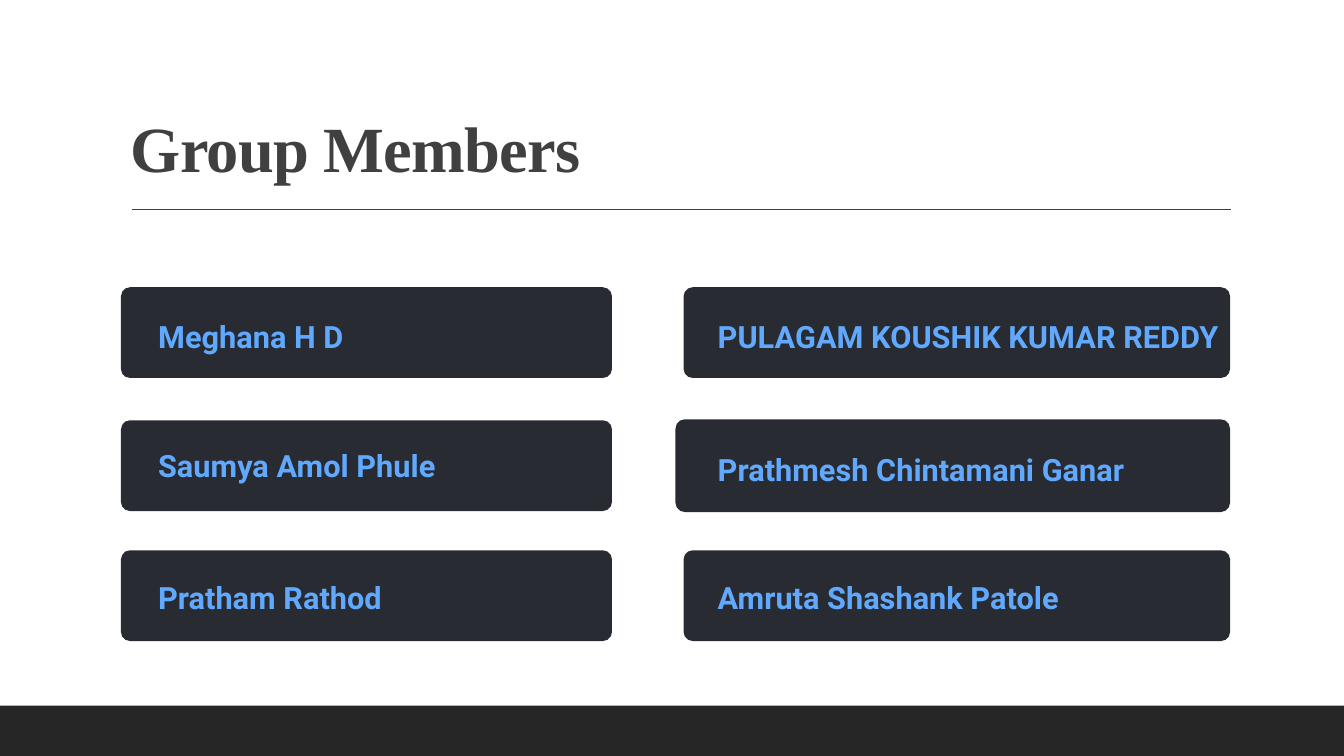
from lxml import etree
from pptx import Presentation
from pptx.dml.color import RGBColor
from pptx.enum.shapes import MSO_CONNECTOR, MSO_SHAPE
from pptx.enum.text import MSO_ANCHOR
from pptx.oxml.ns import qn
from pptx.util import Inches, Pt

WIDTH, HEIGHT = 13.33, 7.5
DARK, GREY, CARD, BLUE = "262626", "404040", "282C32", "60A9FF"

# Card box (left, top, width, height), name, text position (left, top)
MEMBERS = [
    ((1.2, 2.85, 4.87, 0.9), "Meghana H D", (1.47, 3.09)),
    ((6.78, 2.85, 5.42, 0.9), "PULAGAM KOUSHIK KUMAR REDDY", (7.02, 3.09)),
    ((1.2, 4.17, 4.87, 0.9), "Saumya Amol Phule", (1.47, 4.37)),
    ((6.7, 4.16, 5.5, 0.92), "Prathmesh Chintamani Ganar", (7.02, 4.41)),
    ((1.2, 5.46, 4.87, 0.9), "Pratham Rathod", (1.47, 5.68)),
    ((6.78, 5.46, 5.42, 0.9), "Amruta Shashank Patole", (7.02, 5.68)),
]


def rgb(value):
    return RGBColor.from_string(value)


def add_block(s, kind, box, fill):
    sp = s.shapes.add_shape(kind, *map(Inches, box))
    sp.shadow.inherit = False
    sp.fill.solid()
    sp.fill.fore_color.rgb = rgb(fill)
    sp.line.fill.background()
    return sp


def add_text(s, box, text, font, size, color, spacing, wrap, anchor):
    tf = s.shapes.add_textbox(*map(Inches, box)).text_frame
    tf.word_wrap = wrap
    tf.vertical_anchor = anchor
    tf.margin_right = 0
    p = tf.paragraphs[0]
    p.line_spacing = spacing
    r = p.add_run()
    r.text = text
    r.font.name = font
    r.font.size = Pt(size)
    r.font.bold = True
    r.font.color.rgb = rgb(color)
    return r


def add_header(s, box):
    left, top, width, height = box
    r = add_text(s, box, "Group Members", "Times New Roman", 46, GREY,
                 0.9, True, MSO_ANCHOR.BOTTOM)
    r.font._element.set("spc", "-50")
    # Rule under the title
    y = Inches(top + height + 0.18)
    rule = s.shapes.add_connector(MSO_CONNECTOR.STRAIGHT, Inches(left + 0.11), y,
                                  Inches(left + width + 0.01), y)
    rule.line.color.rgb = rgb(GREY)
    rule.line.width = Pt(1)
    etree.SubElement(rule._element.spPr, qn("a:effectLst"))


def add_member(s, box, name, text_at):
    left, top, width, height = box
    card = add_block(s, MSO_SHAPE.ROUNDED_RECTANGLE, box, CARD)
    card.adjustments[0] = 0.1
    # The name may run up to the right edge of its card
    text_left, text_top = text_at
    text_box = (text_left, text_top, left + width - text_left, 0.25)
    add_text(s, text_box, name, "Roboto", 21.9, BLUE,
             Pt(27.3), False, MSO_ANCHOR.TOP)


def add_footer(s, box):
    add_block(s, MSO_SHAPE.RECTANGLE, box, DARK)


def main():
    prs = Presentation()
    prs.slide_width, prs.slide_height = Inches(WIDTH), Inches(HEIGHT)
    s = prs.slides.add_slide(prs.slide_layouts[6])
    add_footer(s, (0, 7, WIDTH, 0.5))
    add_header(s, (1.2, 0.31, 11, 1.59))
    for box, name, text_at in MEMBERS:
        add_member(s, box, name, text_at)
    prs.save("out.pptx")


if __name__ == "__main__":
    main()
